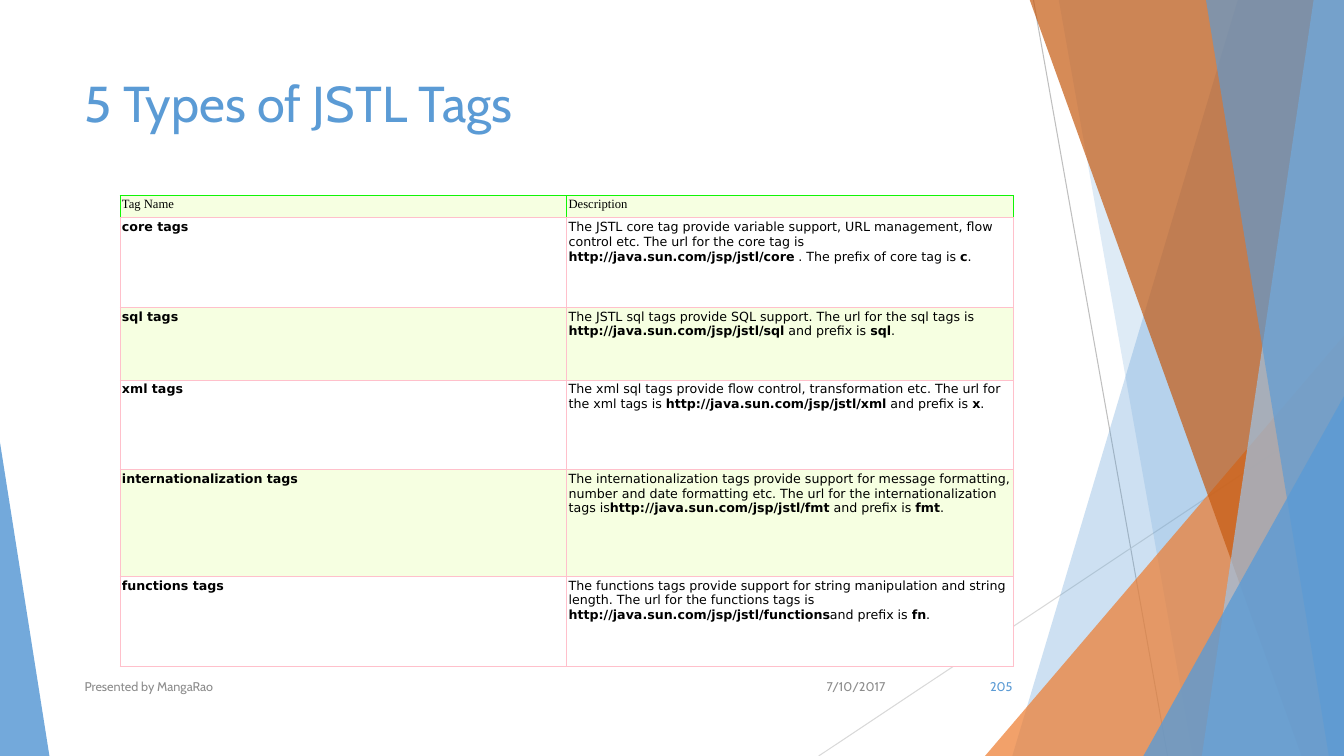
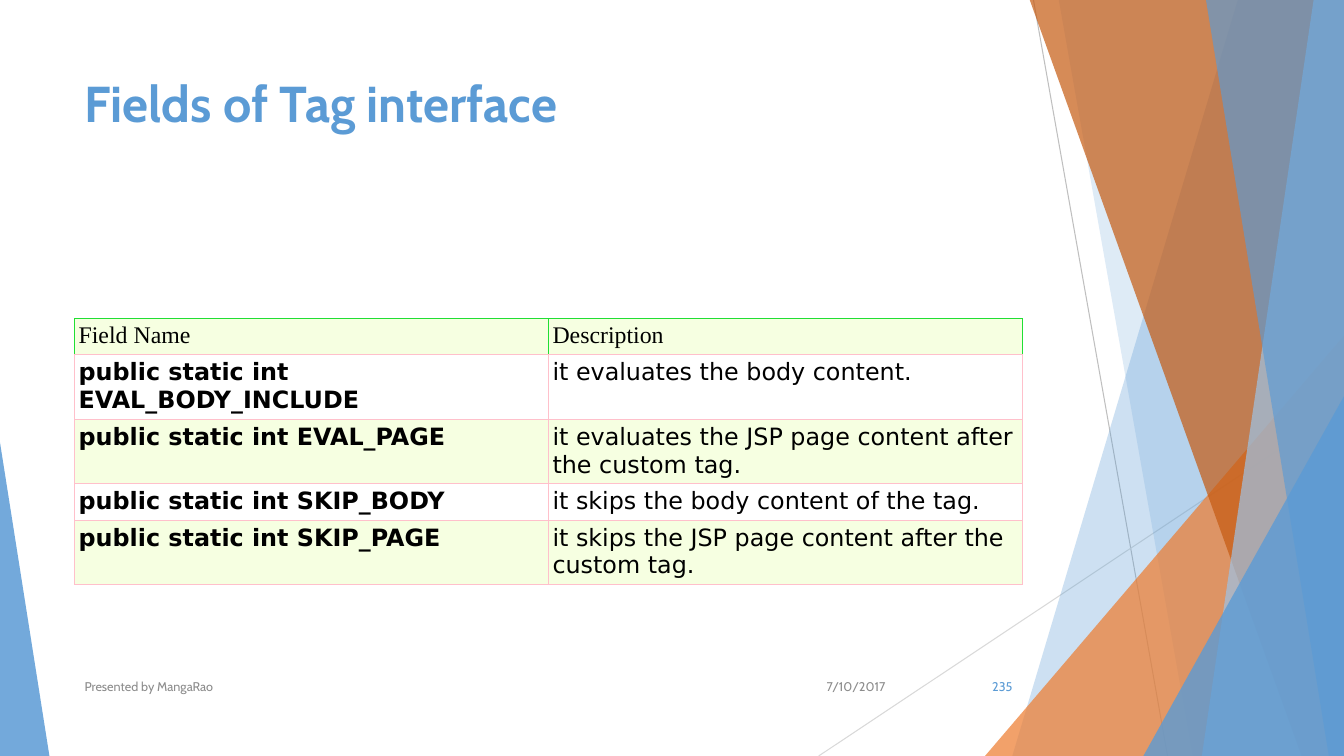
"""Build two table slides that share a faceted background, a title style and a footer."""
from dataclasses import dataclass
from typing import NamedTuple

from lxml import etree
from pptx import Presentation
from pptx import util as u
from pptx.dml import color
from pptx.enum import shapes, text
from pptx.oxml import ns


@dataclass(frozen=True)
class Theme:
    blue: str = "5B9BD5"
    pale_blue: str = "9DC3E6"
    orange: str = "ED7D31"
    rust: str = "C55A11"
    grey: str = "8C8C8C"
    dark_line: str = "BFBFBF"
    light_line: str = "D9D9D9"
    black: str = "000000"
    white: str = "FFFFFF"
    lime: str = "F6FFE1"
    pink: str = "FFC0CB"
    heading_font: str = "Cabin"
    header_font: str = "Times New Roman"
    body_font: str = "DejaVu Sans"
    title_size: float = 36
    small_size: float = 9
    large_size: float = 17
    line_width: float = 0.75
    border_width: float = 0.6


THEME = Theme()
WIDTH, HEIGHT = 13.33, 7.5
BAND_TOP = -0.01
MARGIN = 0.74
CONTENT_WIDTH = 9.4


class Box(NamedTuple):
    left: float
    top: float
    width: float
    height: float

    def lengths(self) -> list[u.Length]:
        return [u.Inches(value) for value in self]


class Style(NamedTuple):
    font: str
    size: float
    colour: str
    bold: bool = False


class Ray(NamedTuple):
    start: tuple[float, float]
    end: tuple[float, float]
    colour: str


class Band(NamedTuple):
    top_left: float
    bottom_left: float
    colour: str
    opacity: int


class Wedge(NamedTuple):
    box: Box
    apex: float
    colour: str
    opacity: int


class FooterItem(NamedTuple):
    left: float
    width: float
    content: str
    colour: str
    align: text.PP_ALIGN


@dataclass(frozen=True)
class Grid:
    """Body cells list their spans with alternating weight; first-column cells start bold."""
    left: float
    top: float
    column_width: float
    row_heights: tuple[float, ...]
    inset: float
    size: float
    header_line: str
    headings: tuple[str, str]
    rows: tuple[tuple[str, tuple[str, ...]], ...]


@dataclass(frozen=True)
class PageContent:
    title: str
    bold_title: bool
    number: str
    grid: Grid


RAYS = (
    Ray((10.25, 0), (11.58, HEIGHT), THEME.dark_line),
    Ray((WIDTH, 4.03), (8.12, HEIGHT), THEME.light_line),
)
FACETS = (
    Band(12.28, 10.04, THEME.blue, 30),
    Band(10.5, 11.83, THEME.blue, 20),
    Wedge(Box(9.77, 3.33, 3.56, 4.17), 1, THEME.orange, 72),
    Band(10.21, 12.91, THEME.rust, 70),
    Band(13.03, 11.92, THEME.pale_blue, 70),
    Band(11.96, 13.18, THEME.blue, 65),
    Wedge(Box(11.34, 3.93, 1.99, 3.57), 1, THEME.blue, 80),
    Wedge(Box(0, 4.39, 0.49, 3.11), 0, THEME.blue, 85),
)

PAGES = (
    PageContent("5 Types of JSTL Tags", False, "205", Grid(
        1.19, 1.94, 4.43, (0.22, 0.89, 0.72, 0.89, 1.06, 0.89), 0.02,
        THEME.small_size, "10F505", ("Tag Name", "Description"), (
            ("core tags", (
                "The JSTL core tag provide variable support, URL management, flow control etc. "
                "The url for the core tag is ",
                "http://java.sun.com/jsp/jstl/core", " . The prefix of core tag is ", "c", ".")),
            ("sql tags", (
                "The JSTL sql tags provide SQL support. The url for the sql tags is ",
                "http://java.sun.com/jsp/jstl/sql", " and prefix is ", "sql", ".")),
            ("xml tags", (
                "The xml sql tags provide flow control, transformation etc. "
                "The url for the xml tags is ",
                "http://java.sun.com/jsp/jstl/xml", " and prefix is ", "x", ".")),
            ("internationalization tags", (
                "The internationalization tags provide support for message formatting, number "
                "and date formatting etc. The url for the internationalization tags is",
                "http://java.sun.com/jsp/jstl/fmt", " and prefix is ", "fmt", ".")),
            ("functions tags", (
                "The functions tags provide support for string manipulation and string length. "
                "The url for the functions tags is ",
                "http://java.sun.com/jsp/jstl/functions", "and prefix is ", "fn", ".")),
        ))),
    PageContent("Fields of Tag interface", True, "235", Grid(
        MARGIN, 3.16, CONTENT_WIDTH / 2, (0.36, 0.64, 0.64, 0.36, 0.64), 0.04,
        THEME.large_size, "20DF34", ("Field Name", "Description"), (
            ("public static int EVAL_BODY_INCLUDE", ("it evaluates the body content.",)),
            ("public static int EVAL_PAGE",
             ("it evaluates the JSP page content after the custom tag.",)),
            ("public static int SKIP_BODY", ("it skips the body content of the tag.",)),
            ("public static int SKIP_PAGE",
             ("it skips the JSP page content after the custom tag.",)),
        ))),
)


def rgb(value: str) -> color.RGBColor:
    return color.RGBColor.from_string(value)


def add_span(para, content: str, style: Style) -> None:
    span = para.add_run()
    span.text = content
    span.font.name = style.font
    span.font.size = u.Pt(style.size)
    span.font.bold = style.bold
    span.font.color.rgb = rgb(style.colour)


def paint(shape, colour: str, opacity: int) -> None:
    shape.shadow.inherit = False
    shape.line.fill.background()
    shape.fill.solid()
    shape.fill.fore_color.rgb = rgb(colour)
    tint = shape.element.spPr.find(f"{ns.qn('a:solidFill')}/{ns.qn('a:srgbClr')}")
    etree.SubElement(tint, ns.qn("a:alpha"), val=str(opacity * 1000))


def draw_ray(page, ray: Ray) -> None:
    ends = [u.Inches(value) for value in ray.start + ray.end]
    line = page.shapes.add_connector(shapes.MSO_CONNECTOR.STRAIGHT, *ends)
    line.line.color.rgb = rgb(ray.colour)
    line.line.width = u.Pt(THEME.line_width)
    etree.SubElement(line.element.spPr, ns.qn("a:effectLst"))


def draw_facet(page, facet: Band | Wedge) -> None:
    if isinstance(facet, Band):
        corners = [(u.Inches(x), u.Inches(y)) for x, y in (
            (facet.top_left, BAND_TOP), (WIDTH, BAND_TOP),
            (WIDTH, HEIGHT), (facet.bottom_left, HEIGHT))]
        outline = page.shapes.build_freeform(*corners[0])
        outline.add_line_segments(corners[1:], close=True)
        shape = outline.convert_to_shape()
    else:
        shape = page.shapes.add_shape(
            shapes.MSO_SHAPE.ISOSCELES_TRIANGLE, *facet.box.lengths())
        shape.adjustments[0] = facet.apex
    paint(shape, facet.colour, facet.opacity)


def set_title(page, content: str, bold: bool) -> None:
    title = page.shapes.title
    title.left, title.top, title.width, title.height = Box(
        MARGIN, 0.67, CONTENT_WIDTH, 1.44).lengths()
    frame = title.text_frame
    frame.word_wrap = True
    frame.auto_size = text.MSO_AUTO_SIZE.NONE
    frame.vertical_anchor = text.MSO_ANCHOR.TOP
    para = frame.paragraphs[0]
    para.alignment = text.PP_ALIGN.LEFT
    add_span(para, content, Style(THEME.heading_font, THEME.title_size, THEME.blue, bold))


def draw_footer(page, number: str) -> None:
    items = (
        FooterItem(7.88, 1, "7/10/2017", THEME.grey, text.PP_ALIGN.RIGHT),
        FooterItem(MARGIN, 6.89, "Presented by MangaRao", THEME.grey, text.PP_ALIGN.LEFT),
        FooterItem(9.39, 0.75, number, THEME.blue, text.PP_ALIGN.RIGHT),
    )
    for item in items:
        box = page.shapes.add_textbox(*Box(item.left, 6.61, item.width, 0.4).lengths())
        frame = box.text_frame
        frame.word_wrap = True
        frame.vertical_anchor = text.MSO_ANCHOR.MIDDLE
        para = frame.paragraphs[0]
        para.alignment = item.align
        add_span(para, item.content, Style(THEME.heading_font, THEME.small_size, item.colour))


def format_cell(cell, inset: float, fill: str, edge: str) -> None:
    cell.margin_left = cell.margin_right = u.Inches(inset)
    cell.margin_top = cell.margin_bottom = u.Inches(inset)
    properties = cell._tc.get_or_add_tcPr()
    for side, colour in (("L", edge), ("R", edge), ("T", edge), ("B", THEME.pink)):
        border = etree.SubElement(
            properties, ns.qn(f"a:ln{side}"), w=str(u.Pt(THEME.border_width)))
        solid = etree.SubElement(border, ns.qn("a:solidFill"))
        etree.SubElement(solid, ns.qn("a:srgbClr"), val=colour)
    cell.fill.solid()
    cell.fill.fore_color.rgb = rgb(fill)


def draw_grid(page, grid: Grid) -> None:
    box = Box(grid.left, grid.top, 2 * grid.column_width, sum(grid.row_heights))
    table = page.shapes.add_table(len(grid.row_heights), 2, *box.lengths()).table
    for column in table.columns:
        column.width = u.Inches(grid.column_width)
    for row, height in zip(table.rows, grid.row_heights):
        row.height = u.Inches(height)

    for index, heading in enumerate(grid.headings):
        cell = table.cell(0, index)
        format_cell(cell, grid.inset, THEME.lime, grid.header_line)
        add_span(cell.text_frame.paragraphs[0], heading,
                 Style(THEME.header_font, grid.size, THEME.black))

    for number, (name, description) in enumerate(grid.rows, start=1):
        fill = THEME.white if number % 2 else THEME.lime
        for index, spans in enumerate(((name,), description)):
            cell = table.cell(number, index)
            format_cell(cell, grid.inset, fill, THEME.pink)
            for position, content in enumerate(spans):
                bold = (position + index) % 2 == 0 if index == 0 else position % 2 == 1
                add_span(cell.text_frame.paragraphs[0], content,
                         Style(THEME.body_font, grid.size, THEME.black, bold))


def add_page(deck, content: PageContent) -> None:
    page = deck.slides.add_slide(deck.slide_layouts[5])
    for ray in RAYS:
        draw_ray(page, ray)
    for facet in FACETS:
        draw_facet(page, facet)
    set_title(page, content.title, content.bold_title)
    draw_grid(page, content.grid)
    draw_footer(page, content.number)


def main() -> None:
    deck = Presentation()
    deck.slide_width, deck.slide_height = u.Inches(WIDTH), u.Inches(HEIGHT)
    for content in PAGES:
        add_page(deck, content)
    deck.save("out.pptx")


if __name__ == "__main__":
    main()
